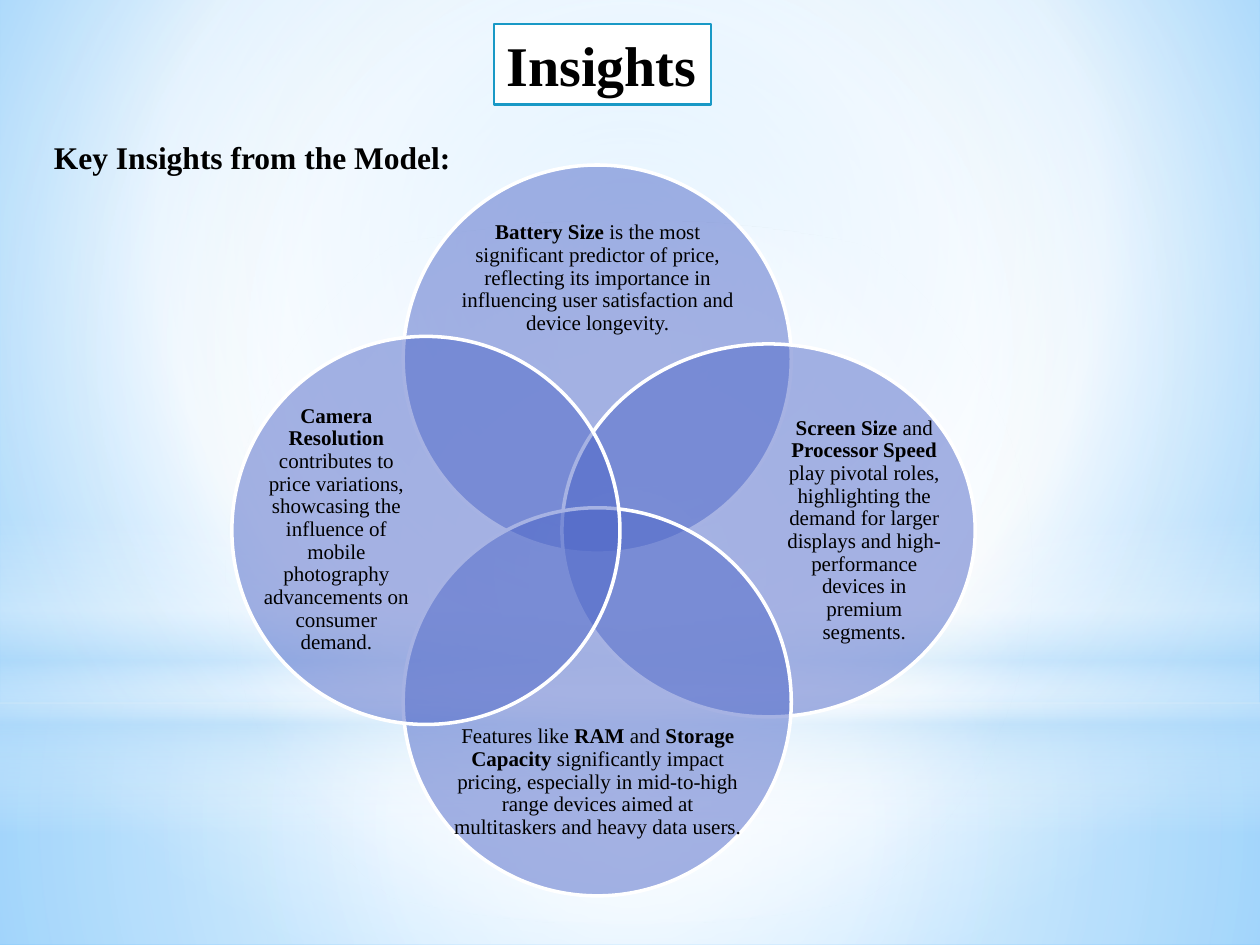
import pptx
import pptx.util
import pptx.oxml
import pptx.oxml.ns
import pptx.dml.color
import pptx.enum.shapes
import pptx.enum.text

Inches = pptx.util.Inches
Pt = pptx.util.Pt
Shape = pptx.enum.shapes.MSO_SHAPE
Text = pptx.enum.text
qn = pptx.oxml.ns.qn


def color(code):
    return pptx.dml.color.RGBColor.from_string(code)


def blend(solid, stops, angle=None, focus=(50, 50, 50, 50)):
    marks = "".join(
        f'<a:gs pos="{pos * 1000}"><a:srgbClr val="{code}">'
        f'<a:alpha val="{alpha * 1000}"/></a:srgbClr></a:gs>'
        for pos, code, alpha in stops)
    if angle is None:
        sides = " ".join(f'{side}="{part * 1000}"' for side, part in zip("ltrb", focus))
        tail = f'<a:path path="circle"><a:fillToRect {sides}/></a:path>'
    else:
        tail = f'<a:lin ang="{angle * 60000}" scaled="0"/>'
    grad = pptx.oxml.parse_xml(
        f'<a:gradFill {pptx.oxml.ns.nsdecls("a")} rotWithShape="1">'
        f'<a:gsLst>{marks}</a:gsLst>{tail}</a:gradFill>')
    solid.getparent().replace(solid, grad)


class Board:
    """Holds the style and the current slide, and draws each kind of element."""

    font = "Times New Roman"
    ink = "000000"
    white = "FFFFFF"
    sky = "B4DCFA"
    edge = "1999C6"
    petal = "4E67C8"

    def __init__(self, deck):
        self.slide = deck.slides.add_slide(deck.slide_layouts[6])

    def back(self, stops, focus):
        fill = self.slide.background.fill
        fill.solid()
        fill.fore_color.rgb = color(self.white)
        blend(self.slide.element.find(".//" + qn("p:bgPr")).find(qn("a:solidFill")),
              stops, focus=focus)

    def shape(self, kind, box, fill, line=None, width=1):
        item = self.slide.shapes.add_shape(kind, *map(Inches, box))
        item.shadow.inherit = False
        item.fill.solid()
        item.fill.fore_color.rgb = color(fill)
        if line:
            item.line.color.rgb = color(line)
            item.line.width = Pt(width)
        else:
            item.line.fill.background()
        return item

    def glow(self, kind, box, stops, angle=None):
        item = self.shape(kind, box, self.white)
        blend(item.element.spPr.find(qn("a:solidFill")), stops, angle)

    def circle(self, box):
        item = self.shape(Shape.OVAL, box, self.petal, self.white, 2)
        tint = item.element.spPr.find(qn("a:solidFill"))[0]
        tint.append(pptx.oxml.parse_xml(
            f'<a:alpha {pptx.oxml.ns.nsdecls("a")} val="50000"/>'))

    def words(self, para, text, size):
        para.font.name = self.font
        para.font.size = Pt(size)
        para.font.color.rgb = color(self.ink)
        for turn, part in enumerate(text.split("*")):
            if part:
                run = para.add_run()
                run.text = part
                run.font.bold = turn % 2 == 1

    def head(self, item, text, size):
        frame = item.text_frame
        frame.word_wrap = False
        frame.auto_size = Text.MSO_AUTO_SIZE.SHAPE_TO_FIT_TEXT
        frame.vertical_anchor = Text.MSO_ANCHOR.TOP
        para = frame.paragraphs[0]
        para.alignment = Text.PP_ALIGN.LEFT
        self.words(para, f"*{text}*", size)

    def title(self, box, text):
        self.head(self.shape(Shape.RECTANGLE, box, self.white, self.edge, 1.25), text, 32)

    def label(self, box, text):
        self.head(self.slide.shapes.add_textbox(*map(Inches, box)), text, 18)

    def note(self, box, text):
        frame = self.slide.shapes.add_textbox(*map(Inches, box)).text_frame
        frame.word_wrap = True
        frame.vertical_anchor = Text.MSO_ANCHOR.MIDDLE
        frame.margin_left = frame.margin_right = frame.margin_top = frame.margin_bottom = 0
        para = frame.paragraphs[0]
        para.alignment = Text.PP_ALIGN.CENTER
        para.line_spacing = 0.9
        para.space_after = Pt(4.2)
        self.words(para, text, 12)


PETALS = [
    ((3.2, 1.31, 3.08, 3.08), (3.56, 1.72, 2.37, 0.98),
     "*Battery Size* is the most significant predictor of price, reflecting its "
     "importance in influencing user satisfaction and device longevity."),
    ((4.46, 2.73, 3.28, 2.96), (6.23, 3.07, 1.26, 2.28),
     "*Screen Size* and *Processor Speed* play pivotal roles, highlighting the demand "
     "for larger displays and high-performance devices in premium segments."),
    ((3.2, 4.03, 3.08, 3.08), (3.56, 5.72, 2.37, 0.98),
     "Features like *RAM* and *Storage Capacity* significantly impact pricing, especially "
     "in mid-to-high range devices aimed at multitaskers and heavy data users."),
    ((1.84, 2.67, 3.08, 3.08), (2.08, 3.02, 1.18, 2.37),
     "*Camera Resolution* contributes to price variations, showcasing the influence of "
     "mobile photography advancements on consumer demand."),
]


def main():
    deck = pptx.Presentation()
    deck.slide_width, deck.slide_height = Inches(10), Inches(7.5)
    board = Board(deck)
    white, sky = board.white, board.sky

    board.back([(0, "9ED5FF", 100), (60, white, 100), (100, "5BB9FF", 100)],
               (20, 10, 20, 60))
    board.glow(Shape.RECTANGLE, (0, 5.58, 10, 1.92),
               [(0, white, 91), (37, white, 76), (100, sky, 79)])
    board.glow(Shape.RECTANGLE, (0, 0, 10, 5.58),
               [(0, white, 89), (48, white, 62), (100, sky, 79)])
    board.glow(Shape.RECTANGLE, (0, 4.12, 10, 2.5),
               [(0, white, 0), (29, white, 30), (45, sky, 40),
                (55, white, 26), (65, sky, 60), (100, white, 0)], 90)
    board.glow(Shape.OVAL, (0, 1.75, 10, 5.58), [(0, white, 100), (56, white, 0)])

    board.title((3.92, 0.19, 1.72, 0.64), "Insights")
    board.label((0.33, 1.05, 3.38, 0.4), "Key Insights from the Model:")
    for ring, box, text in PETALS:
        board.circle(ring)
        board.note(box, text)
    deck.save("out.pptx")


if __name__ == "__main__":
    main()
